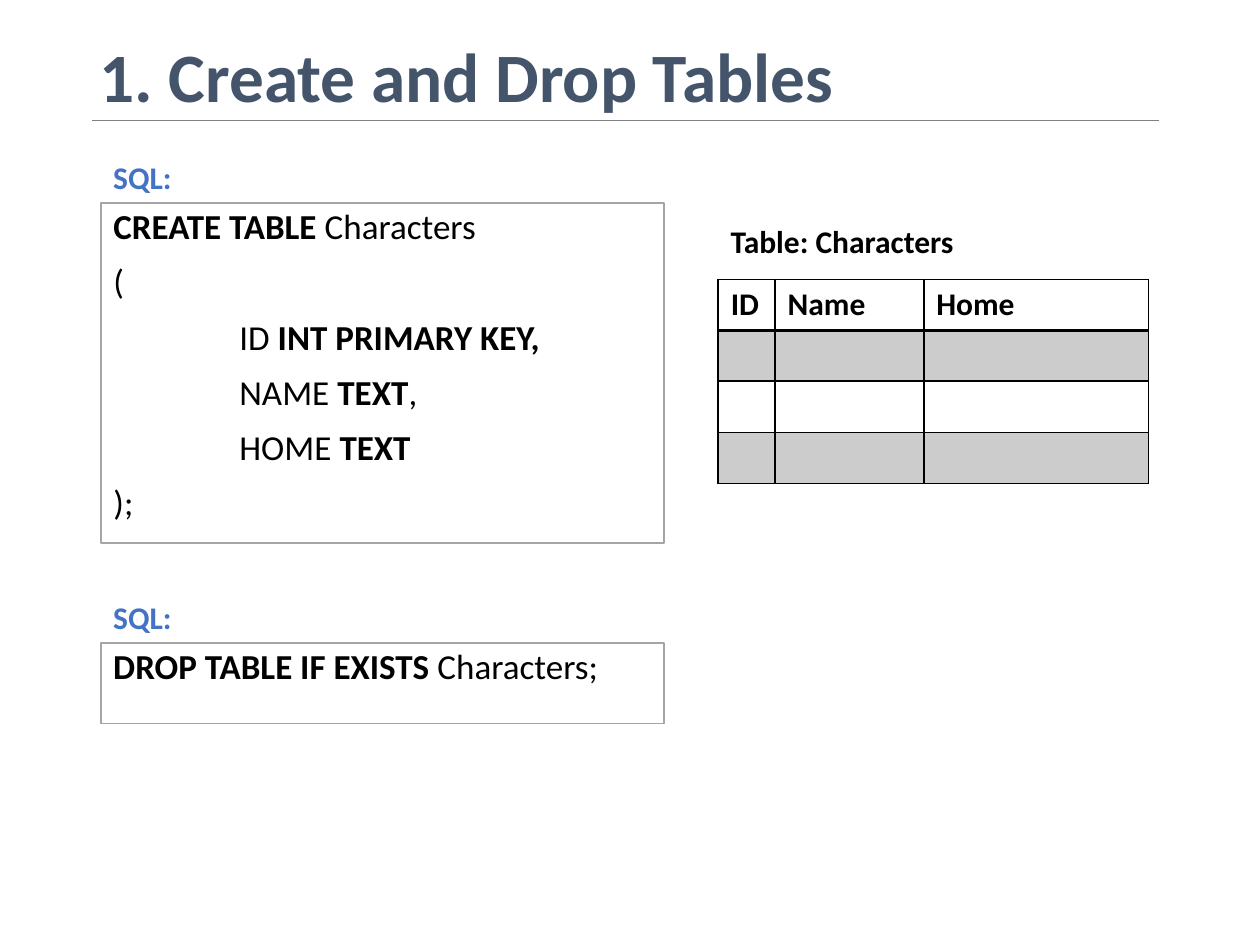
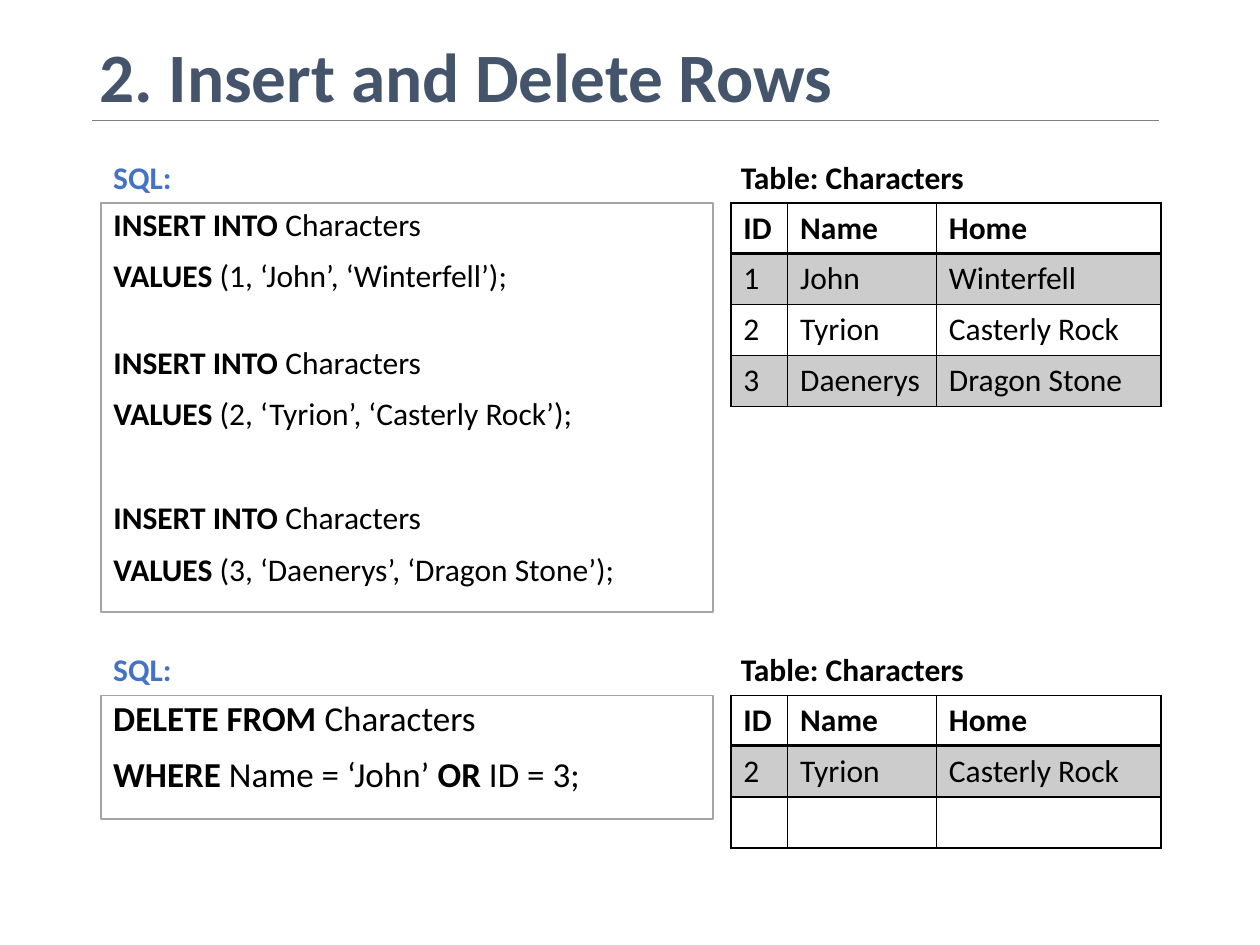
import pptx
import pptx.dml.color
import pptx.enum.shapes
import pptx.enum.text
import pptx.oxml
import pptx.oxml.ns
import pptx.util
from dataclasses import dataclass

Pt = pptx.util.Pt
COLORS = {"title": "44546A", "rule": "808080", "label": "4472C4",
          "border": "A5A5A5", "text": "000000", "paper": "FFFFFF"}
BOLD, PLAIN = True, False


@dataclass
class CodeLine:
    runs: list
    before: float = 10
    indent: float = 0


def rgb(name):
    return pptx.dml.color.RGBColor.from_string(COLORS[name])


def xml(text):
    return pptx.oxml.parse_xml(text.replace(
        " ", f" {pptx.oxml.ns.nsdecls('a')} ", 1))


class SlideWriter:
    font = "Calibri"
    column_widths = (32.5, 85, 128.5)
    header_height, row_height = 21.6, 29.2
    label_height = 29.1

    def __init__(self, presentation):
        self.presentation = presentation
        self.slide = None

    def start(self, title):
        """Add a slide with its title and the rule below it."""
        layout = self.presentation.slide_layouts[1]
        self.slide = self.presentation.slides.add_slide(layout)
        shape = self.slide.shapes.title
        self.place(shape, 49.7, 28.8, 620.6, 33.8)
        frame = shape.text_frame
        frame.auto_size = pptx.enum.text.MSO_AUTO_SIZE.NONE
        frame.vertical_anchor = pptx.enum.text.MSO_ANCHOR.MIDDLE
        paragraph = frame.paragraphs[0]
        paragraph.alignment = pptx.enum.text.PP_ALIGN.LEFT
        paragraph.line_spacing = 0.9
        self.run(paragraph, title, 39.6, BOLD, "title")

        rule = self.slide.shapes.add_connector(
            pptx.enum.shapes.MSO_CONNECTOR.STRAIGHT,
            Pt(52.6), Pt(69.1), Pt(662.4), Pt(69.1))
        rule.line.color.rgb = rgb("rule")
        rule.line.width = Pt(0.5)
        rule._element.spPr.append(xml("<a:effectLst />"))

    def place(self, shape, left, top, width, height):
        shape.left, shape.top = Pt(left), Pt(top)
        shape.width, shape.height = Pt(width), Pt(height)

    def run(self, paragraph, text, size, bold=PLAIN, color="text"):
        run = paragraph.add_run()
        run.text = text
        run.font.name = self.font
        run.font.size = Pt(size)
        run.font.bold = bold
        run.font.color.rgb = rgb(color)

    def label(self, text, left, top, width, color="text"):
        shape = self.slide.shapes.add_textbox(
            Pt(left), Pt(top), Pt(width), Pt(self.label_height))
        frame = shape.text_frame
        frame.word_wrap = False
        frame.auto_size = pptx.enum.text.MSO_AUTO_SIZE.SHAPE_TO_FIT_TEXT
        self.run(frame.paragraphs[0], text, 18, BOLD, color)

    def code(self, lines, top, width, height, size=20, body=False):
        """Add a bordered SQL box with its label above."""
        left = 57.6
        self.label("SQL:", left, top - 29.4, 48.2, "label")
        if body:
            shape = self.slide.placeholders[1]
            self.place(shape, left, top, width, height)
        else:
            shape = self.slide.shapes.add_shape(
                pptx.enum.shapes.MSO_SHAPE.RECTANGLE,
                Pt(left), Pt(top), Pt(width), Pt(height))
            shape.shadow.inherit = False
        shape.fill.solid()
        shape.fill.fore_color.rgb = rgb("paper")
        shape.line.color.rgb = rgb("border")
        shape.line.width = Pt(1)
        frame = shape.text_frame
        frame.word_wrap = True
        frame.auto_size = pptx.enum.text.MSO_AUTO_SIZE.NONE
        frame.vertical_anchor = pptx.enum.text.MSO_ANCHOR.TOP
        for index, line in enumerate(lines):
            paragraph = frame.add_paragraph() if index else frame.paragraphs[0]
            paragraph.alignment = pptx.enum.text.PP_ALIGN.LEFT
            paragraph.line_spacing = 0.9
            paragraph.space_before = Pt(line.before)
            paragraph.space_after = Pt(0)
            properties = paragraph._p.get_or_add_pPr()
            properties.set("marL", str(Pt(line.indent)))
            properties.set("indent", "0")
            properties.append(xml("<a:buNone />"))
            for text, bold in line.runs:
                self.run(paragraph, text, size, bold)

    def table(self, rows, left, top):
        """Add a table with a header and shaded odd rows."""
        rows = [("ID", "Name", "Home")] + rows
        height = self.header_height + self.row_height * (len(rows) - 1)
        table = self.slide.shapes.add_table(
            len(rows), len(self.column_widths), Pt(left), Pt(top),
            Pt(sum(self.column_widths)), Pt(height)).table
        table.first_row = table.horz_banding = False
        for column, width in zip(table.columns, self.column_widths):
            column.width = Pt(width)
        for row_index, values in enumerate(rows):
            header = row_index == 0
            table.rows[row_index].height = Pt(
                self.header_height if header else self.row_height)
            for column_index, value in enumerate(values):
                cell = table.cell(row_index, column_index)
                if value:
                    self.run(cell.text_frame.paragraphs[0], value, 18, header)
                self.shade(cell, row_index % 2 == 1)
                self.borders(cell, 2 if row_index == 1 else 1,
                             2 if header else 1)

    def shade(self, cell, shaded):
        if not shaded:
            cell.fill.background()
            return
        cell.fill.solid()
        cell.fill.fore_color.rgb = rgb("text")
        color = cell._tc.tcPr.find(".//" + pptx.oxml.ns.qn("a:srgbClr"))
        color.append(xml('<a:alpha val="20000"/>'))

    def borders(self, cell, top, bottom):
        widths = {"L": 1, "R": 1, "T": top, "B": bottom}
        for index, (side, width) in enumerate(widths.items()):
            cell._tc.get_or_add_tcPr().insert(index, xml(
                f'<a:ln{side} w="{Pt(width)}"><a:solidFill><a:srgbClr '
                f'val="{COLORS["text"]}"/></a:solidFill></a:ln{side}>'))


presentation = pptx.Presentation()
presentation.slide_width, presentation.slide_height = Pt(720), Pt(540)
writer = SlideWriter(presentation)
TABLE_LABEL, LABEL_WIDTH = "Table: Characters", 143.3
EMPTY = ("", "", "")
FIRST_TOP = 115.9

# Slide 1: create and drop
writer.start("1. Create and Drop Tables")
writer.code([
    CodeLine([("CREATE TABLE ", BOLD), ("Characters", PLAIN)]),
    CodeLine([("(", PLAIN)]),
    CodeLine([("ID ", PLAIN), ("INT PRIMARY KEY,", BOLD)], indent=72),
    CodeLine([("NAME ", PLAIN), ("TEXT", BOLD), (",", PLAIN)], indent=72),
    CodeLine([("HOME ", PLAIN), ("TEXT", BOLD)], indent=72),
    CodeLine([(");", PLAIN)]),
], FIRST_TOP, 322, 194.4, body=True)
writer.label(TABLE_LABEL, 410.4, 123.1, LABEL_WIDTH)
writer.table([EMPTY] * 3, 410.4, 159.8)
writer.code([CodeLine([("DROP TABLE IF EXISTS ", BOLD),
                       ("Characters;", PLAIN)])], 367.4, 322, 46)

# Slide 2: insert and delete
characters = [("1", "John", "Winterfell"),
              ("2", "Tyrion", "Casterly Rock"),
              ("3", "Daenerys", "Dragon Stone")]
DELETE_TOP = 397.4
writer.start("2. Insert and Delete Rows")
inserts = []
for (number, name, home), gap in zip(characters, (10, 29.9, 39.8)):
    inserts += [
        CodeLine([("INSERT INTO ", BOLD), ("Characters", PLAIN)], before=gap),
        CodeLine([("VALUES ", BOLD),
                  (f"({number}, ‘{name}’, ‘{home}’);", PLAIN)])]
writer.code(inserts, FIRST_TOP, 350, 234, size=18, body=True)
writer.code([
    CodeLine([("DELETE FROM ", BOLD), ("Characters", PLAIN)]),
    CodeLine([("WHERE", BOLD), (" Name = ‘John’ ", PLAIN),
              ("OR", BOLD), (" ID = 3;", PLAIN)]),
], DELETE_TOP, 350, 70.6)
for top, rows in ((FIRST_TOP, characters),
                  (DELETE_TOP, [characters[1], EMPTY])):
    writer.label(TABLE_LABEL, 416.2, top - 29.4, LABEL_WIDTH)
    writer.table(rows, 417.6, top)

presentation.save("out.pptx")
